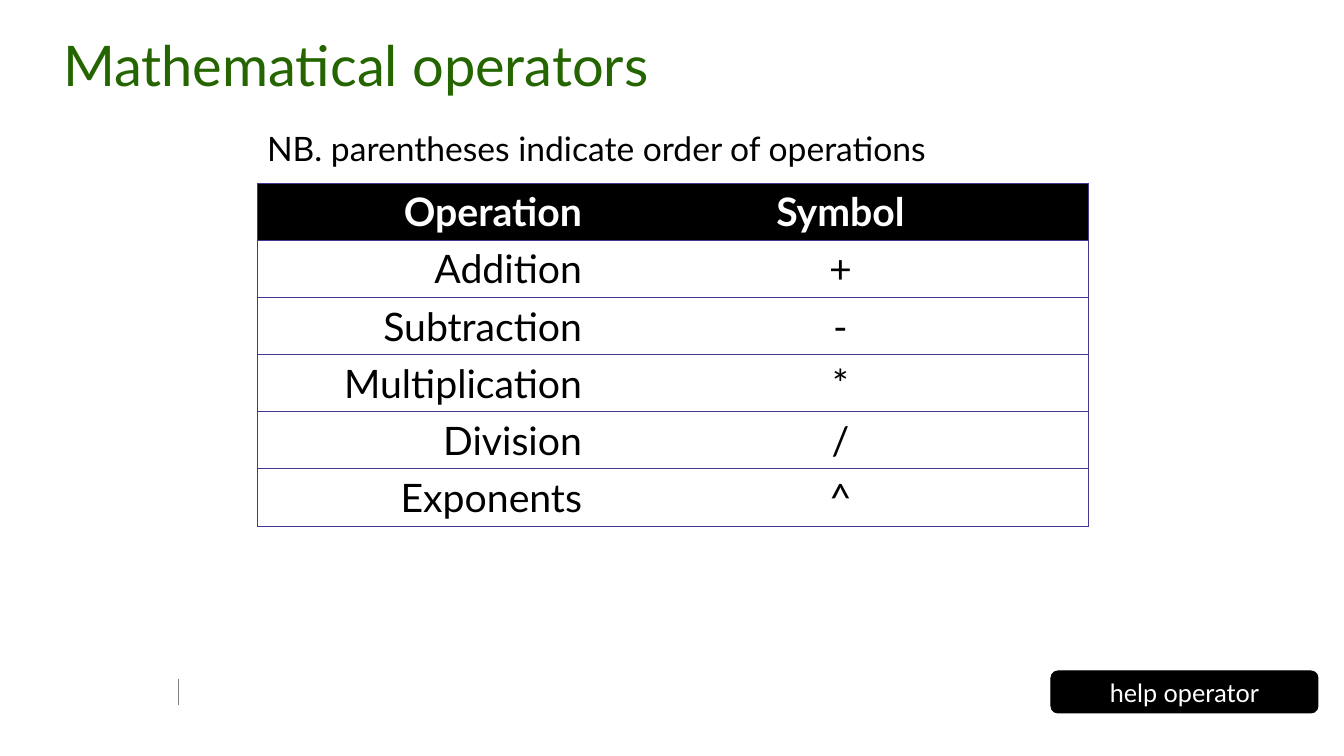
from lxml.etree import SubElement
from pptx import Presentation
from pptx.dml.color import RGBColor
from pptx.enum.shapes import MSO_CONNECTOR, MSO_SHAPE
from pptx.enum.text import MSO_ANCHOR, MSO_AUTO_SIZE, PP_ALIGN
from pptx.oxml import parse_xml
from pptx.oxml.ns import nsdecls, qn
from pptx.util import Pt

PX = 914400 / 100.8
FONT = "Lato"
BLACK, WHITE, GREEN, PURPLE, GREY = "000000", "FFFFFF", "246500", "483591", "808080"
OPERATORS = [("Operation", "Symbol"), ("Addition", "+"), ("Subtraction", "-"),
             ("Multiplication", "*"), ("Division", "/"), ("Exponents", "^")]


def px(*lengths):
    """Turn pixel lengths into EMU."""
    return [round(n * PX) for n in lengths]


def rgb(value):
    """Turn a hex string into a colour."""
    return RGBColor.from_string(value)


def write(tf, text, size, color=BLACK, bold=False, align=PP_ALIGN.LEFT):
    """Write one formatted paragraph into a text frame."""
    p = tf.paragraphs[0]
    p.alignment = align
    p.space_before = Pt(0)
    r = p.add_run()
    r.text = text
    r.font.name, r.font.size, r.font.bold = FONT, Pt(size), bold
    r.font.color.rgb = rgb(color)
    return p


def fill_placeholder(sp, box, text, size, **fmt):
    """Move a placeholder to its box and write its text without a bullet."""
    sp.left, sp.top, sp.width, sp.height = px(*box)
    tf = sp.text_frame
    tf.word_wrap, tf.auto_size = True, MSO_AUTO_SIZE.NONE
    pPr = tf.paragraphs[0]._p.get_or_add_pPr()
    pPr.set("marL", "0")
    pPr.set("indent", "0")
    SubElement(pPr, qn("a:buNone"))
    write(tf, text, size, **fmt)
    return tf


def set_borders(cell, sides):
    """Draw the named sides of a cell and hide the others."""
    tcPr = cell._tc.get_or_add_tcPr()
    for i, side in enumerate("LRTB"):
        paint = (f'<a:solidFill><a:srgbClr val="{PURPLE}"/></a:solidFill>'
                 if side in sides else "<a:noFill/>")
        tcPr.insert(i, parse_xml(
            f'<a:ln{side} {nsdecls("a")} w="{Pt(0.75)}">{paint}</a:ln{side}>'))


def add_operator_table(s, x, y, widths, row_height):
    """Add the table of operators with a black header row."""
    rows = len(OPERATORS)
    box = px(x, y, sum(widths), rows * row_height)
    table = s.shapes.add_table(rows, len(widths), *box).table
    table.first_row = table.horz_banding = False
    for column, width in zip(table.columns, px(*widths)):
        column.width = width
    for i, texts in enumerate(OPERATORS):
        header = i == 0
        for j, text in enumerate(texts):
            cell = table.cell(i, j)
            if header:
                cell.fill.solid()
                cell.fill.fore_color.rgb = rgb(BLACK)
            else:
                cell.fill.background()
            set_borders(cell, "TBR" if j else "TBL")
            write(cell.text_frame, text, 28, bold=header,
                  color=WHITE if header else BLACK,
                  align=PP_ALIGN.CENTER if j else PP_ALIGN.RIGHT)


def add_help_button(s, box, text):
    """Add the rounded black button that names the help command."""
    sp = s.shapes.add_shape(MSO_SHAPE.ROUNDED_RECTANGLE, *px(*box))
    sp.shadow.inherit = False
    sp.fill.solid()
    sp.fill.fore_color.rgb = sp.line.color.rgb = rgb(BLACK)
    sp.line.width = Pt(0.75)
    sp.text_frame.vertical_anchor = MSO_ANCHOR.MIDDLE
    write(sp.text_frame, text, 18, color=WHITE, align=PP_ALIGN.CENTER)


def add_footer_rule(s, x, top, bottom):
    """Add the thin upright rule of the footer."""
    line = s.shapes.add_connector(MSO_CONNECTOR.STRAIGHT, *px(x, top, x, bottom))
    line.line.color.rgb = rgb(GREY)
    line.line.width = Pt(0.25)
    SubElement(line._element.spPr, qn("a:effectLst"))


def main():
    """Build the slide and save it."""
    prs = Presentation()
    prs.slide_width, prs.slide_height = px(1344, 756)
    s = prs.slides.add_slide(prs.slide_layouts[1])
    add_footer_rule(s, 178, 679, 705)
    title = fill_placeholder(s.shapes.title, (53, 25, 1204, 78),
                             "Mathematical operators", 40, color=GREEN)
    title.vertical_anchor = MSO_ANCHOR.MIDDLE
    note = fill_placeholder(s.placeholders[1], (257, 123, 1087, 488),
                            "NB. parentheses indicate order of operations", 24)
    note.vertical_anchor = MSO_ANCHOR.TOP
    add_operator_table(s, 257, 183, (335, 497), 57)
    add_help_button(s, (1051, 671, 267, 42), "help operator")
    prs.save("out.pptx")


if __name__ == "__main__":
    main()
